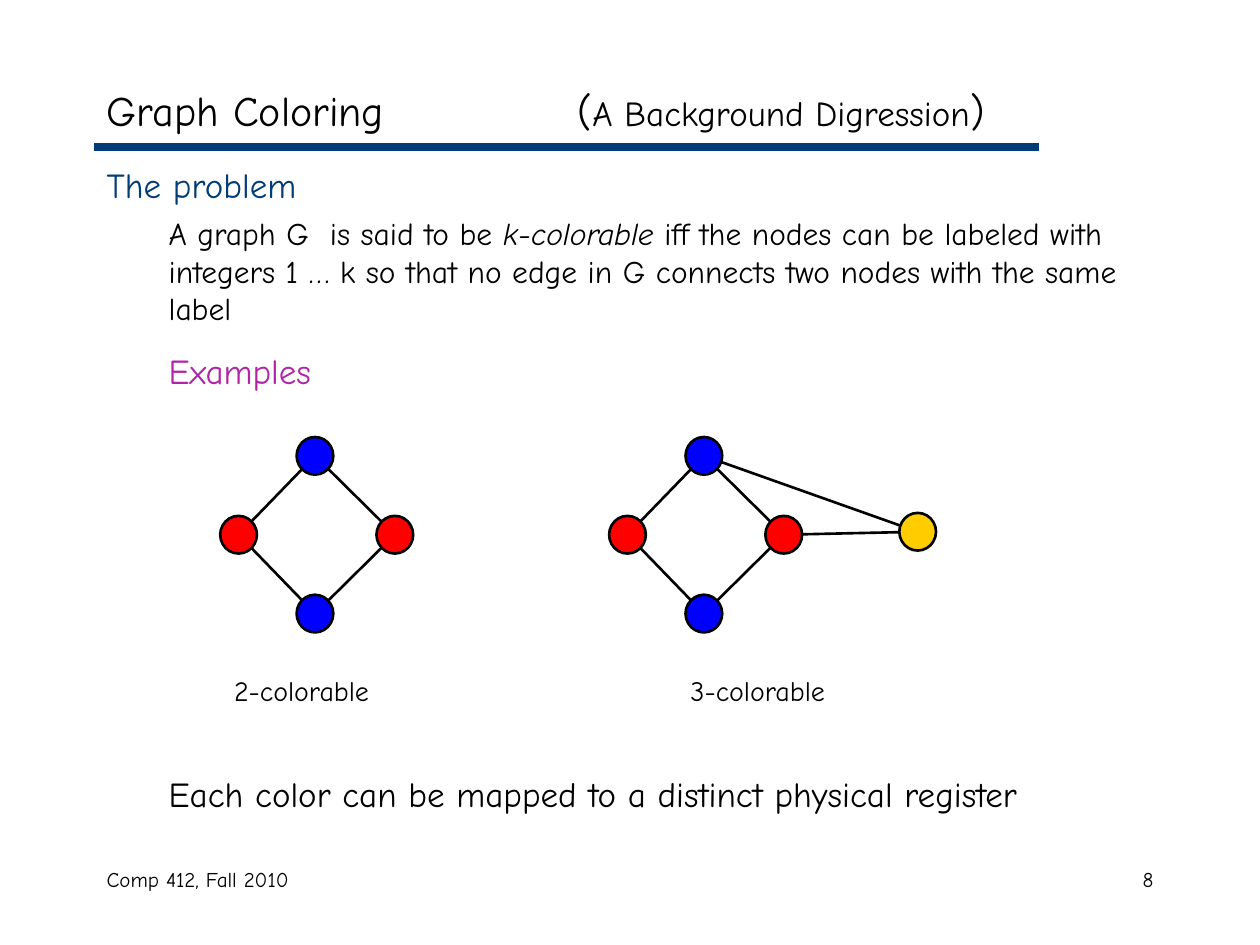
import lxml.etree
import pptx
import pptx.dml.color
import pptx.enum.shapes
import pptx.enum.text
import pptx.oxml.ns
import pptx.util

Cm, Pt = pptx.util.Cm, pptx.util.Pt
RGBColor = pptx.dml.color.RGBColor
ALIGN = pptx.enum.text.PP_ALIGN
ANCHOR = pptx.enum.text.MSO_ANCHOR

FONT = "Comic Neue"
BLACK = RGBColor(0x00, 0x00, 0x00)
NAVY = RGBColor(0x00, 0x3C, 0x75)
PURPLE = RGBColor(0xB0, 0x25, 0xA6)
BLUE = RGBColor(0x00, 0x00, 0xFF)
RED = RGBColor(0xFF, 0x00, 0x00)
YELLOW = RGBColor(0xFF, 0xCC, 0x00)

# Graph geometry in centimetres
NODE_WIDTH, NODE_HEIGHT = 0.74, 0.76
GRAPH_Y = 10.78
DIAMOND = {
    "top": (0, -1.59, BLUE),
    "bottom": (0, 1.59, BLUE),
    "left": (-1.54, 0, RED),
    "right": (1.61, 0, RED),
}
DIAMOND_EDGES = [("top", "right"), ("top", "left"),
                 ("left", "bottom"), ("right", "bottom")]


def add_box(page, left, top, width, height, anchor=ANCHOR.TOP):
    box = page.shapes.add_textbox(Cm(left), Cm(top), Cm(width), Cm(height))
    box.text_frame.word_wrap = True
    box.text_frame.vertical_anchor = anchor
    return box.text_frame


def style_para(para, size, color=BLACK, before=0, indent=0, align=ALIGN.LEFT):
    para.alignment = align
    if before:
        para.space_before = Pt(before)
    if indent:
        para._p.get_or_add_pPr().set("marL", str(Cm(indent)))
    para.font.name = FONT
    para.font.size = Pt(size)
    para.font.color.rgb = color


def add_label(page, text, left, top, width, height, size, align=ALIGN.LEFT):
    para = add_box(page, left, top, width, height).paragraphs[0]
    para.text = text
    style_para(para, size, align=align)


def add_tab_stop(para, position):
    tabs = lxml.etree.SubElement(para._p.get_or_add_pPr(),
                                 pptx.oxml.ns.qn("a:tabLst"))
    lxml.etree.SubElement(tabs, pptx.oxml.ns.qn("a:tab"),
                          pos=str(Cm(position)), algn="l")


def add_line(page, start, end, color, width):
    line = page.shapes.add_connector(
        pptx.enum.shapes.MSO_CONNECTOR.STRAIGHT,
        Cm(start[0]), Cm(start[1]), Cm(end[0]), Cm(end[1]))
    line.line.color.rgb = color
    line.line.width = Pt(width)
    lxml.etree.SubElement(line._element.spPr, pptx.oxml.ns.qn("a:effectLst"))


def add_edge(page, start, end):
    """Join two node centres, stopping at the rim of each node."""
    across, down = end[0] - start[0], end[1] - start[1]
    share = NODE_WIDTH / 2 / (across ** 2 + down ** 2) ** 0.5
    add_line(page,
             (start[0] + across * share, start[1] + down * share),
             (end[0] - across * share, end[1] - down * share), BLACK, 1.5)


def add_node(page, x, y, color):
    node = page.shapes.add_shape(
        pptx.enum.shapes.MSO_SHAPE.OVAL,
        Cm(x - NODE_WIDTH / 2), Cm(y - NODE_HEIGHT / 2),
        Cm(NODE_WIDTH), Cm(NODE_HEIGHT))
    node.shadow.inherit = False
    node.fill.solid()
    node.fill.fore_color.rgb = color
    node.line.color.rgb = BLACK
    node.line.width = Pt(1.5)


def add_graph(page, center_x, extra_nodes, extra_edges):
    nodes = {name: (center_x + x, GRAPH_Y + y, color)
             for name, (x, y, color) in (DIAMOND | extra_nodes).items()}
    for start, end in DIAMOND_EDGES + extra_edges:
        add_edge(page, nodes[start], nodes[end])
    for x, y, color in nodes.values():
        add_node(page, x, y, color)


def add_title(page):
    para = add_box(page, 1.9, 1.48, 21.6, 1.48, ANCHOR.MIDDLE).paragraphs[0]
    add_tab_stop(para, 9.5)
    style_para(para, 24)
    for text, size in [("Graph Coloring\t(", 24),
                       ("A Background Digression", 20), (")", 24)]:
        span = para.add_run()
        span.text = text
        span.font.size = Pt(size)


def add_body(page):
    frame = add_box(page, 1.9, 3.18, 21.6, 13.76)
    heading = frame.paragraphs[0]
    heading.text = "The problem"
    style_para(heading, 20, NAVY)

    definition = frame.add_paragraph()
    style_para(definition, 18, before=4.5, indent=1.25)
    for text, italic in [
            ("A graph G  is said to be ", False),
            ("k-colorable", True),
            (" iff the nodes can be labeled with integers 1 … k so that "
             "no edge in G connects two nodes with the same label", False)]:
        span = definition.add_run()
        span.text = text
        span.font.italic = italic

    # The large gap leaves room for the two graphs
    for text, color, before in [
            ("Examples", PURPLE, 12.5),
            ("Each color can be mapped to a distinct physical register",
             BLACK, 218)]:
        para = frame.add_paragraph()
        para.text = text
        style_para(para, 20, color, before, indent=1.25)


def main():
    deck = pptx.Presentation()
    deck.slide_width, deck.slide_height = Cm(25.4), Cm(19.05)
    page = deck.slides.add_slide(deck.slide_layouts[6])

    # Heading, rule and text
    add_line(page, (1.9, 2.97), (20.95, 2.97), NAVY, 4.5)
    add_title(page)
    add_body(page)

    # Example graphs with their captions
    add_graph(page, 6.35, {}, [])
    add_graph(page, 14.19, {"far": (4.31, -0.06, YELLOW)},
              [("right", "far"), ("top", "far")])
    add_label(page, "2-colorable", 4.47, 13.46, 3.81, 0.94, 16)
    add_label(page, "3-colorable", 13.67, 13.46, 3.81, 0.94, 16)

    # Footer
    add_label(page, "Comp 412, Fall 2010", 1.9, 17.35, 8.05, 1.27, 12)
    add_label(page, "8", 18.21, 17.35, 5.29, 1.27, 12, ALIGN.RIGHT)

    deck.save("out.pptx")


if __name__ == "__main__":
    main()
